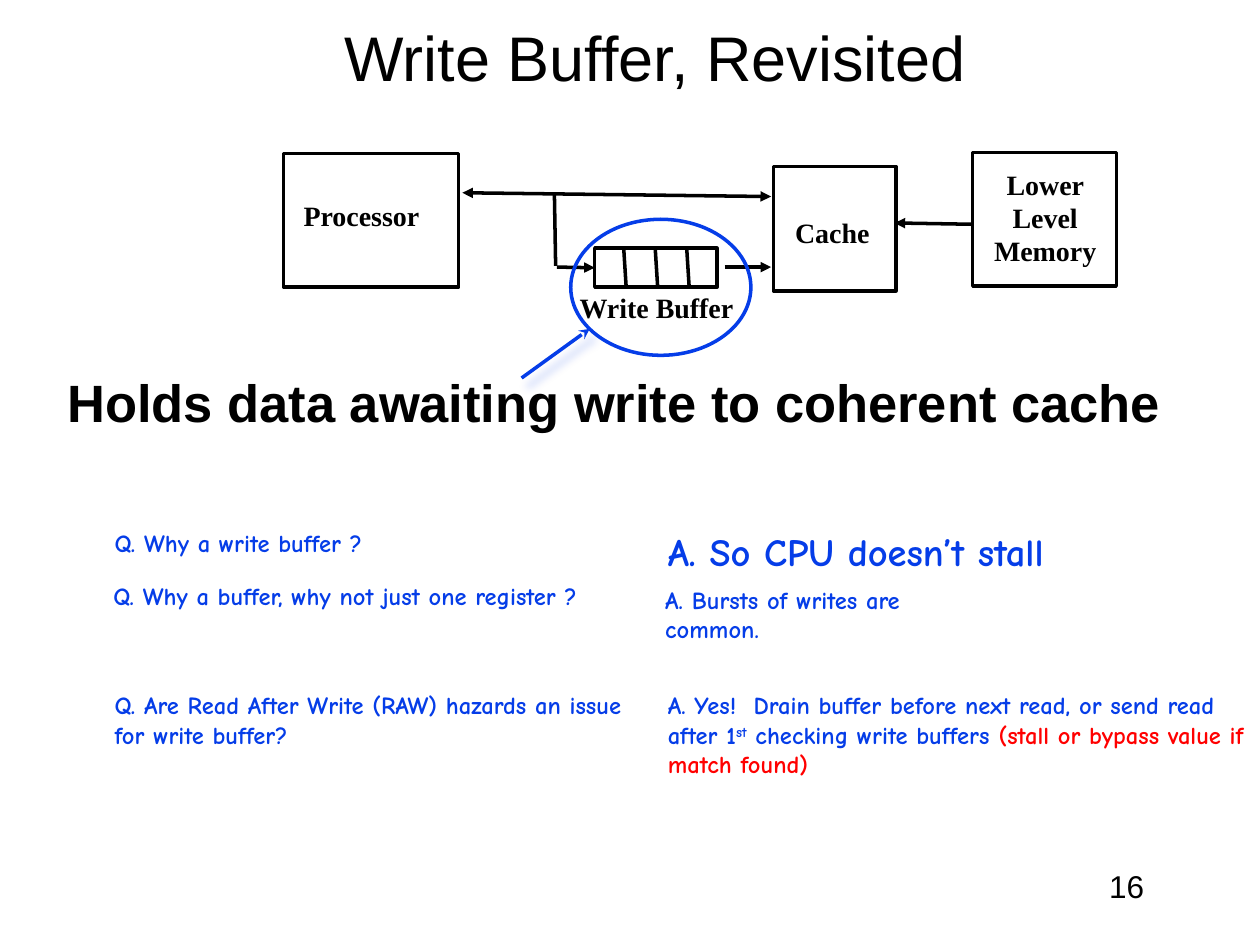
from dataclasses import dataclass

from lxml import etree
from pptx import Presentation
from pptx.dml.color import RGBColor
from pptx.enum.shapes import MSO_CONNECTOR, MSO_SHAPE
from pptx.enum.text import MSO_ANCHOR, PP_ALIGN
from pptx.oxml.ns import qn
from pptx.util import Inches, Pt

COLORS = {"ink": "000000", "blue": "053DE8", "red": "FF0000"}
TITLE = {"name": "Arial", "size": Pt(36), "bold": False}
CLAIM = {"name": "Arial", "size": Pt(30), "bold": True}
LABEL = {"name": "Times New Roman", "size": Pt(16), "bold": True}
NOTE = {"name": "Comic Neue", "size": Pt(14), "bold": True}
ANSWER = {**NOTE, "size": Pt(22)}
NUMBER = {"name": "Arial", "size": Pt(18), "bold": False}


@dataclass
class Box:
    left: float
    top: float
    width: float
    height: float

    def lengths(self) -> list:
        return [Inches(v) for v in (self.left, self.top, self.width, self.height)]


@dataclass
class Run:
    text: str
    color: str = "blue"
    superscript: bool = False


@dataclass
class Text:
    box: Box
    paragraphs: list[list[Run]]
    style: dict
    align: PP_ALIGN = PP_ALIGN.LEFT
    wrap: bool = True
    spacing: Pt = None
    anchor: MSO_ANCHOR = MSO_ANCHOR.TOP


@dataclass
class Wire:
    start: tuple[float, float]
    end: tuple[float, float]
    head: str = ""
    tail: str = ""
    color: str = "ink"


def rgb(color: str) -> RGBColor:
    return RGBColor.from_string(COLORS[color])


def draw_text(slide, item: Text) -> None:
    frame = slide.shapes.add_textbox(*item.box.lengths()).text_frame
    frame_format = {"word_wrap": item.wrap, "vertical_anchor": item.anchor,
                    "margin_left": 0, "margin_top": 0,
                    "margin_right": 0, "margin_bottom": 0}
    for name, value in frame_format.items():
        setattr(frame, name, value)
    for index, runs in enumerate(item.paragraphs):
        paragraph = frame.add_paragraph() if index else frame.paragraphs[0]
        paragraph.alignment = item.align
        paragraph.line_spacing = item.spacing
        for part in runs:
            run = paragraph.add_run()
            run.text = part.text
            for name, value in item.style.items():
                setattr(run.font, name, value)
            run.font.color.rgb = rgb(part.color)
            if part.superscript:
                run.font._element.set("baseline", "30000")


def draw_outline(slide, kind: MSO_SHAPE, box: Box, color: str = "ink"):
    shape = slide.shapes.add_shape(kind, *box.lengths())
    shape.shadow.inherit = False
    shape.fill.background()
    shape.line.color.rgb = rgb(color)
    shape.line.width = Pt(2)
    return shape


def draw_wire(slide, wire: Wire):
    connector = slide.shapes.add_connector(
        MSO_CONNECTOR.STRAIGHT, *[Inches(v) for v in wire.start + wire.end])
    connector.line.color.rgb = rgb(wire.color)
    connector.line.width = Pt(2)
    line = connector.line._get_or_add_ln()
    for tag, arrow in (("a:headEnd", wire.head), ("a:tailEnd", wire.tail)):
        if arrow:
            etree.SubElement(line, qn(tag), type=arrow)
    etree.SubElement(connector._element.spPr, qn("a:effectLst"))
    return connector


def add_glow(connector, color: str) -> None:
    effects = connector._element.spPr.find(qn("a:effectLst"))
    shadow = etree.SubElement(effects, qn("a:outerShdw"), blurRad=str(Pt(5)),
                              dist=str(Pt(6)), dir=str(57 * 60000))
    tint = etree.SubElement(shadow, qn("a:srgbClr"), val=COLORS[color])
    etree.SubElement(tint, qn("a:alpha"), val="25000")


def label(text: str, box: Box, **options) -> Text:
    return Text(box, [[Run(text, "ink")]], LABEL, spacing=Pt(19), **options)


def note(box: Box, *lines: str, style: dict = NOTE) -> Text:
    return Text(box, [[Run(line)] for line in lines], style)


# Diagram
PROCESSOR = Box(2.25, 1.22, 1.39, 1.06)
CACHE = Box(6.14, 1.32, 0.97, 0.99)
MEMORY = Box(7.72, 1.21, 1.14, 1.06)
BUFFER = Box(4.72, 1.97, 0.97, 0.31)
HIGHLIGHT = Box(4.53, 1.74, 1.43, 1.08)
BUFFER_DIVIDERS = [Wire((4.95 + 0.25 * i, 1.97), (4.97 + 0.25 * i, 2.28))
                   for i in range(3)]
WIRES = BUFFER_DIVIDERS + [
    Wire((3.67, 1.53), (6.12, 1.56), head="triangle", tail="triangle"),
    Wire((4.4, 1.54), (4.41, 2.11)),
    Wire((5.75, 2.12), (6.12, 2.12), tail="triangle"),
    Wire((7.1, 1.77), (7.72, 1.78), head="triangle"),
]
INTO_BUFFER = Wire((4.42, 2.12), (4.72, 2.12), tail="triangle")
POINTER = Wire((4.14, 3), (4.68, 2.61), tail="stealth", color="blue")

LABELS = [
    label("Processor", Box(2.41, 1.58, 1.1, 0.26)),
    label("Cache", Box(6.31, 1.71, 0.75, 0.26)),
    label("Write Buffer", Box(4.6, 2.31, 1.35, 0.26)),
    label("Lower Level Memory", Box(7.8, 1.33, 0.99, 0.79), align=PP_ALIGN.CENTER),
]

# Title, claim and page number
HEADINGS = [
    Text(Box(0.4, 0.07, 9.6, 0.75), [[Run("Write Buffer, Revisited", "ink")]],
         TITLE, PP_ALIGN.CENTER, anchor=MSO_ANCHOR.MIDDLE),
    Text(Box(0.25, 2.94, 9.25, 0.51),
         [[Run("Holds data awaiting write to coherent cache", "ink")]],
         CLAIM, PP_ALIGN.CENTER),
    Text(Box(7.17, 6.88, 1.91, 0.4), [[Run("16", "ink")]], NUMBER, PP_ALIGN.RIGHT),
]

# Questions on the left, answers on the right
QUESTIONS_AND_ANSWERS = [
    note(Box(0.91, 4.19, 3.97, 0.4), "Q. Why a write buffer ?"),
    note(Box(5.3, 4.19, 3.97, 0.37), "A. So CPU doesn’t stall", style=ANSWER),
    note(Box(0.9, 4.61, 3.97, 0.81), "Q. Why a buffer, why not just one register ?"),
    note(Box(5.28, 4.64, 3.97, 0.81), "A. Bursts of writes are", "common."),
    note(Box(0.91, 5.48, 4.13, 1.21),
         "Q. Are Read After Write (RAW) hazards an issue for write buffer?"),
    Text(Box(5.3, 5.48, 4.69, 0.71), [[
        Run("A. Yes!  Drain buffer before next read, or send read after 1"),
        Run("st", superscript=True),
        Run(" checking write buffers "),
        Run("(stall or bypass value if match found)", "red"),
    ]], NOTE),
]


def main() -> None:
    deck = Presentation()
    deck.slide_width, deck.slide_height = Inches(10), Inches(7.5)
    slide = deck.slides.add_slide(deck.slide_layouts[6])

    for box in (PROCESSOR, CACHE, MEMORY):
        draw_outline(slide, MSO_SHAPE.RECTANGLE, box)
    buffer = draw_outline(slide, MSO_SHAPE.RECTANGLE, BUFFER)
    for wire in WIRES:
        draw_wire(slide, wire)
    draw_wire(slide, INTO_BUFFER).end_connect(buffer, 1)
    draw_outline(slide, MSO_SHAPE.OVAL, HIGHLIGHT, "blue")
    add_glow(draw_wire(slide, POINTER), "blue")

    for item in LABELS + HEADINGS + QUESTIONS_AND_ANSWERS:
        draw_text(slide, item)
    deck.save("out.pptx")


if __name__ == "__main__":
    main()
